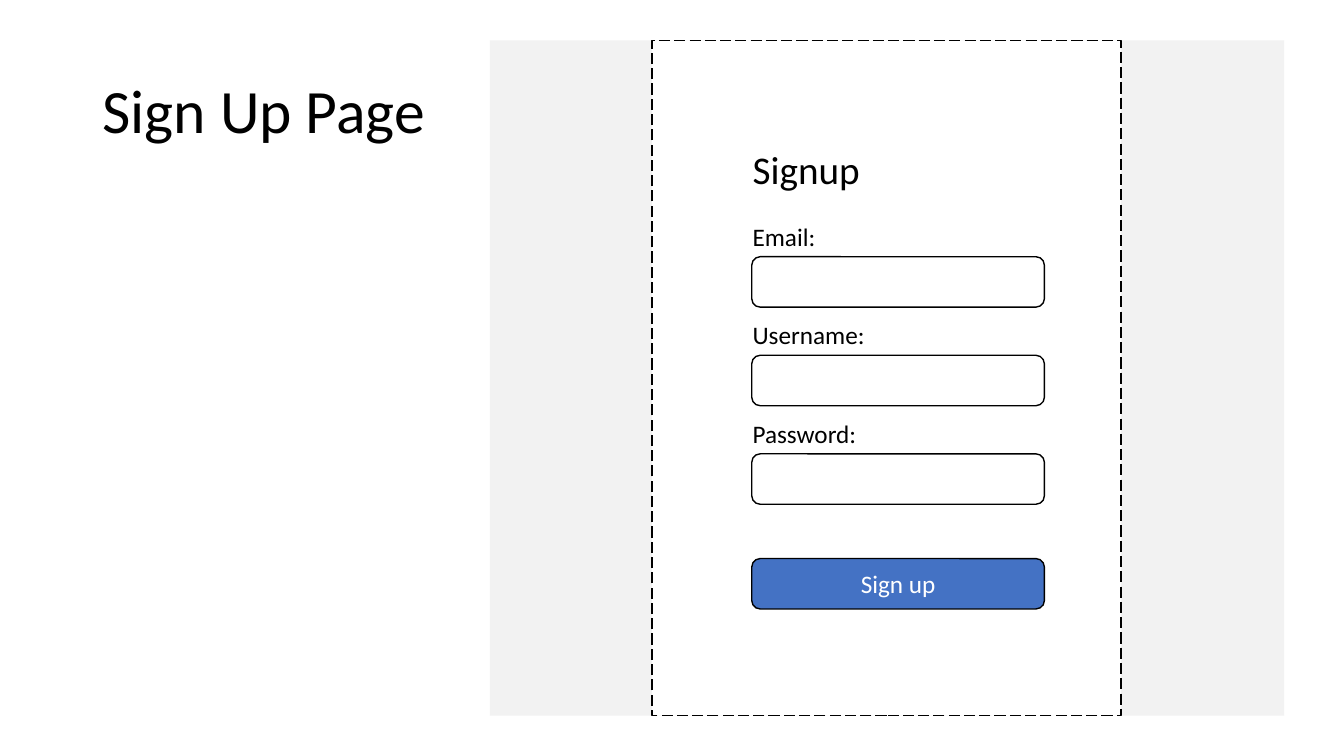
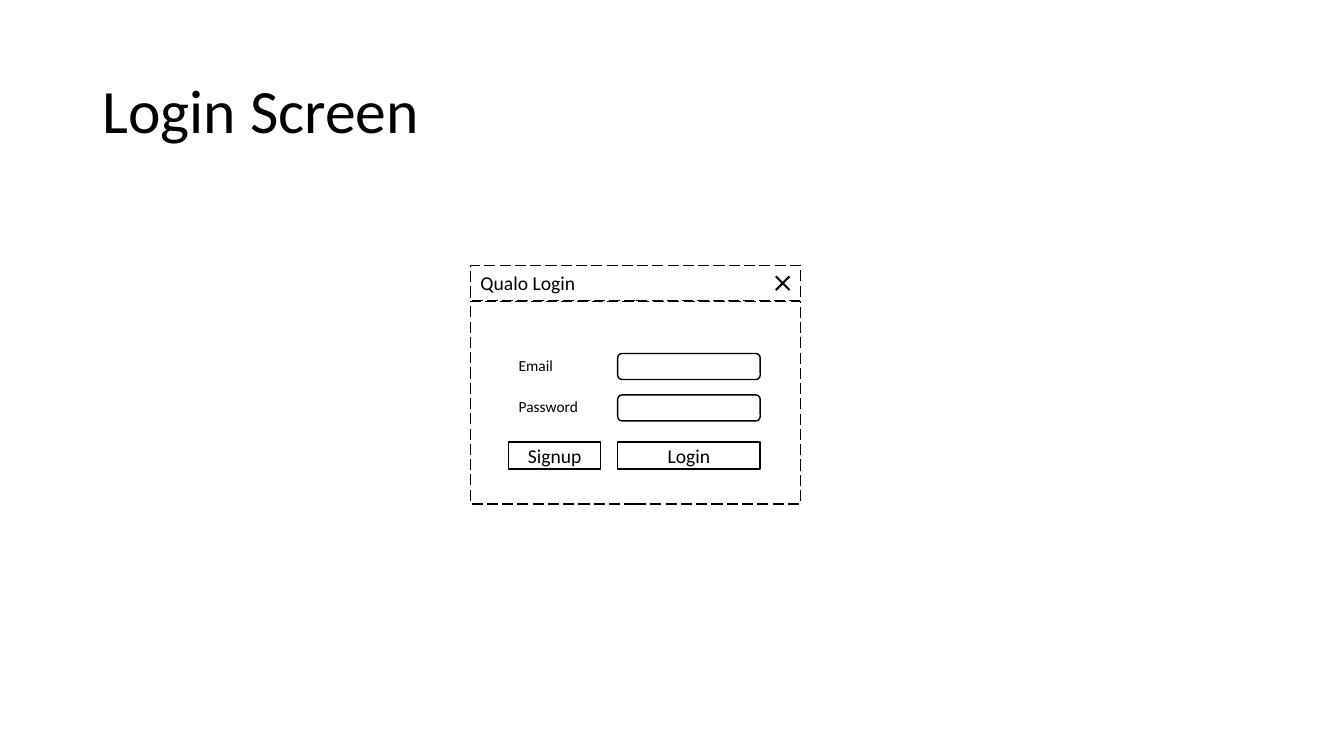
"""Build the sign-up page and login screen wireframes."""
from dataclasses import dataclass
from typing import Any

from lxml.etree import SubElement
from pptx import Presentation
from pptx.dml.color import RGBColor
from pptx.enum.dml import MSO_LINE
from pptx.enum.shapes import MSO_CONNECTOR, MSO_SHAPE
from pptx.enum.text import MSO_ANCHOR, MSO_AUTO_SIZE, PP_ALIGN
from pptx.oxml.ns import qn
from pptx.util import Pt

COLORS = {"ink": "000000", "paper": "FFFFFF", "backdrop": "F2F2F2", "accent": "4472C4"}
FONT = "Calibri"
TITLE_FRAME = {"left": Pt(66), "top": Pt(28.8), "width": Pt(828), "height": Pt(104.4)}
TITLE_TEXT = {"vertical_anchor": MSO_ANCHOR.MIDDLE, "auto_size": MSO_AUTO_SIZE.NONE, "word_wrap": True}
BOX_TEXT = {"vertical_anchor": MSO_ANCHOR.MIDDLE, "word_wrap": True}


@dataclass(frozen=True)
class Area:
    left: float
    top: float
    width: float
    height: float

    def lengths(self) -> tuple[Pt, Pt, Pt, Pt]:
        return Pt(self.left), Pt(self.top), Pt(self.width), Pt(self.height)


@dataclass(frozen=True)
class Box:
    area: Area
    text: str = ""
    fill: str = "paper"
    line: str | None = "ink"
    dashed: bool = False
    rounded: bool = False
    size: float = 14
    color: str = "ink"
    align: PP_ALIGN = PP_ALIGN.CENTER


@dataclass(frozen=True)
class Label:
    area: Area
    text: str
    size: float
    wrap: bool = False


def apply(target: Any, values: dict[str, Any]) -> None:
    for name, value in values.items():
        setattr(target, name, value)


def rgb(color: str) -> RGBColor:
    return RGBColor.from_string(COLORS[color])


def write(frame: Any, text: str, size: float, color: str = "ink",
          align: PP_ALIGN = PP_ALIGN.LEFT) -> Any:
    paragraph = frame.paragraphs[0]
    paragraph.text = text
    paragraph.alignment = align
    font = paragraph.runs[0].font
    apply(font, {"name": FONT, "size": Pt(size)})
    font.color.rgb = rgb(color)
    return paragraph


def draw_box(shapes: Any, box: Box) -> None:
    kind = MSO_SHAPE.ROUNDED_RECTANGLE if box.rounded else MSO_SHAPE.RECTANGLE
    shape = shapes.add_shape(kind, *box.area.lengths())
    shape.shadow.inherit = False
    shape.fill.solid()
    shape.fill.fore_color.rgb = rgb(box.fill)
    if box.line:
        shape.line.color.rgb = rgb(box.line)
        shape.line.width = Pt(1)
        if box.dashed:
            shape.line.dash_style = MSO_LINE.LONG_DASH
    else:
        shape.line.fill.background()
    if box.text:
        apply(shape.text_frame, BOX_TEXT)
        write(shape.text_frame, box.text, box.size, box.color, box.align)


def draw_label(shapes: Any, label: Label) -> None:
    frame = shapes.add_textbox(*label.area.lengths()).text_frame
    apply(frame, {"word_wrap": label.wrap, "auto_size": MSO_AUTO_SIZE.SHAPE_TO_FIT_TEXT})
    write(frame, label.text, label.size)


def draw_close_mark(shapes: Any, area: Area) -> None:
    right, bottom = area.left + area.width, area.top + area.height
    for start, end in ((area.top, bottom), (bottom, area.top)):
        stroke = shapes.add_connector(
            MSO_CONNECTOR.STRAIGHT, Pt(area.left), Pt(start), Pt(right), Pt(end))
        stroke.line.color.rgb = rgb("ink")
        stroke.line.width = Pt(1.5)
        SubElement(stroke._element.spPr, qn("a:effectLst"))


def add_titled_slide(presentation: Any, text: str) -> Any:
    slide = presentation.slides.add_slide(presentation.slide_layouts[5])
    title = slide.shapes.title
    apply(title, TITLE_FRAME)
    apply(title.text_frame, TITLE_TEXT)
    write(title.text_frame, text, 44).line_spacing = 0.9
    return slide


def build_signup(presentation: Any) -> None:
    slide = add_titled_slide(presentation, "Sign Up Page")
    draw_box(slide.shapes, Box(Area(350, 28.8, 567.3, 482.4), fill="backdrop", line=None))
    page = slide.shapes.add_group_shape().shapes
    draw_box(page, Box(Area(465.8, 28.8, 335, 482.4), dashed=True))
    label_left, field_left, field_width, field_height = 530.5, 537, 209, 36
    first_top, pitch = 183.4, 70.4
    draw_label(page, Label(Area(label_left, 100.1, 92.2, 41), "Signup", 28))
    for row, (text, width) in enumerate((("Email:", 59.8), ("Username:", 95.8), ("Password:", 89.3))):
        top = first_top + row * pitch
        draw_label(page, Label(Area(label_left, top - 29.2, width, 28.8), text, 18))
        draw_box(page, Box(Area(field_left, top, field_width, field_height), rounded=True))
    draw_box(page, Box(Area(field_left, 399, field_width, field_height), "Sign up",
                       fill="accent", rounded=True, size=18, color="paper"))


def build_login(presentation: Any) -> None:
    slide = add_titled_slide(presentation, "Login Screen")
    window = slide.shapes.add_group_shape().shapes
    left, width = 336.1, 235.6
    label_left, label_width, field_left, field_width = 363.4, 65.6, 441.2, 101.8
    first_top, pitch, button_top, button_height = 252.5, 29.6, 315.6, 19.5
    draw_box(window, Box(Area(left, 215.2, width, 144.8), dashed=True))
    draw_box(window, Box(Area(left, 189.6, width, 25.2), "Qualo Login",
                         dashed=True, align=PP_ALIGN.LEFT))
    for row, text in enumerate(("Email", "Password")):
        top = first_top + row * pitch
        draw_label(window, Label(Area(label_left, top - 2, label_width, 20.7), text, 11, wrap=True))
        draw_box(window, Box(Area(field_left, top, field_width, 18.6), rounded=True))
    for text, button_left, button_width in (
            ("Signup", label_left, label_width), ("Login", field_left, field_width)):
        draw_box(window, Box(Area(button_left, button_top, button_width, button_height), text))
    draw_close_mark(window, Area(554.2, 197.4, 9.8, 9.8))


def main() -> None:
    presentation = Presentation()
    apply(presentation, {"slide_width": Pt(960), "slide_height": Pt(540)})
    build_signup(presentation)
    build_login(presentation)
    presentation.save("out.pptx")


if __name__ == "__main__":
    main()
